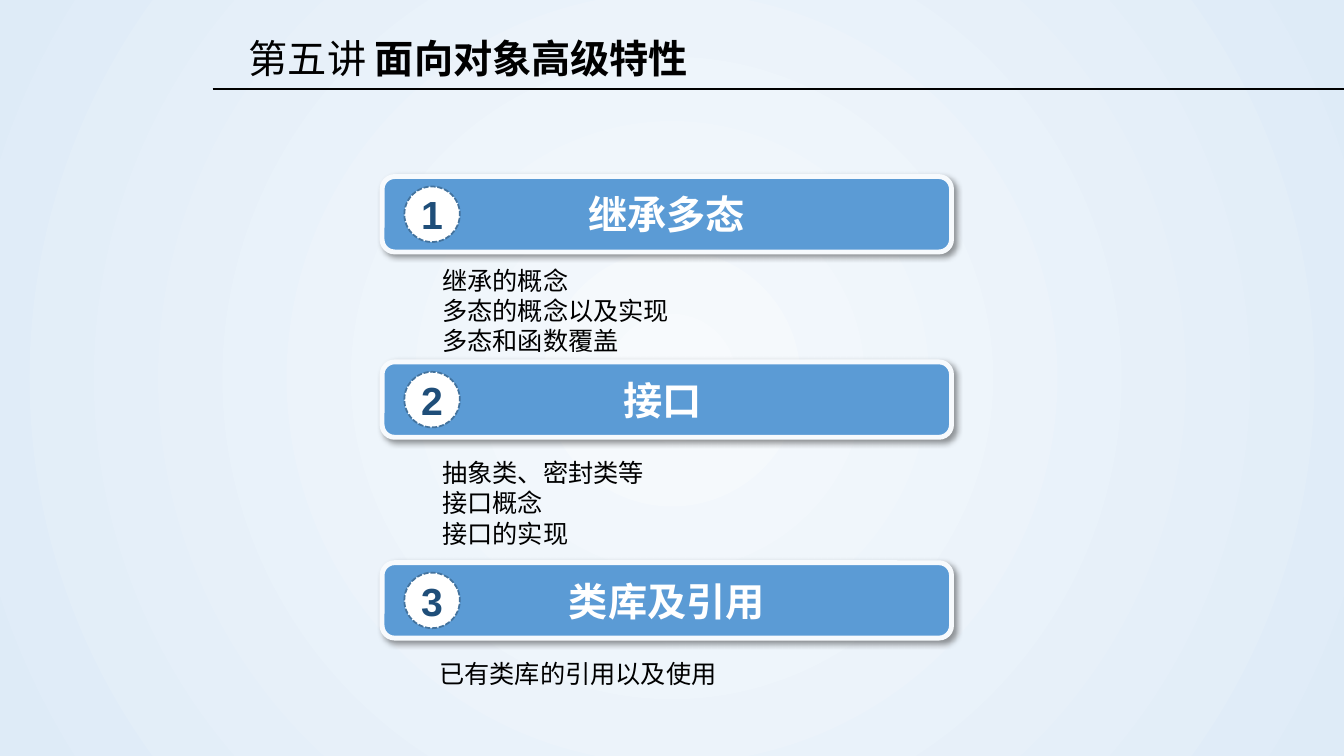
from lxml.etree import SubElement
from pptx import Presentation
from pptx.dml.color import RGBColor
from pptx.enum.dml import MSO_LINE
from pptx.enum.shapes import MSO_CONNECTOR, MSO_SHAPE
from pptx.enum.text import MSO_ANCHOR, MSO_AUTO_SIZE, PP_ALIGN
from pptx.oxml.ns import qn
from pptx.util import Cm, Pt

SLIDE_W, SLIDE_H = 33.87, 19.05
BAR_LEFT, BAR_W, BAR_H = 9.63, 14.35, 1.9
BADGE = 1.4

# heading, bar top, topics, topic box (left, top, width, height), topic level
CHAPTERS = [
    ("继承多态", 4.45, ["继承的概念", "多态的概念以及实现", "多态和函数覆盖"],
     (BAR_LEFT, 6.55, 15.04, 3.33), 1),
    ("接口 ", 9.12, ["抽象类、密封类等", "接口概念", "接口的实现"],
     (BAR_LEFT, 11.4, 17.02, 3.33), 1),
    ("类库及引用", 14.18, ["已有类库的引用以及使用"],
     (10.82, 16.46, 13.16, 1.02), 0),
]


def rgb(color):
    return RGBColor.from_string(color)


def add_run(p, text, size, color="000000", bold=False):
    r = p.add_run()
    r.text = text
    r.font.name = "Arial"
    r.font.size = Pt(size)
    r.font.bold = bold
    r.font.color.rgb = rgb(color)


def add_text_box(s, box):
    tf = s.shapes.add_textbox(*map(Cm, box)).text_frame
    tf.word_wrap = True
    tf.auto_size = MSO_AUTO_SIZE.SHAPE_TO_FIT_TEXT
    return tf


def add_label_shape(shapes, kind, box, fill, line, width, text, color):
    """Add a filled, outlined shape with a centred bold label."""
    sp = shapes.add_shape(kind, *map(Cm, box))
    sp.shadow.inherit = False
    sp.fill.solid()
    sp.fill.fore_color.rgb = rgb(fill)
    sp.line.color.rgb = rgb(line)
    sp.line.width = Pt(width)
    tf = sp.text_frame
    tf.margin_left = tf.margin_right = tf.margin_top = tf.margin_bottom = 0
    tf.vertical_anchor = MSO_ANCHOR.MIDDLE
    p = tf.paragraphs[0]
    p.alignment = PP_ALIGN.CENTER
    add_run(p, text, 28, color, True)
    return sp


def add_drop_shadow(sp):
    effects = sp._element.spPr.find(qn("a:effectLst"))
    shadow = SubElement(effects, qn("a:outerShdw"), blurRad=str(Pt(4)),
                        dist=str(Pt(3)), dir=str(45 * 60000),
                        algn="tl", rotWithShape="0")
    color = SubElement(shadow, qn("a:srgbClr"), val="000000")
    SubElement(color, qn("a:alpha"), val="40000")


def set_radial_background(s, inner, outer):
    fill = s.background.fill
    fill.gradient()
    for stop, color in zip(fill.gradient_stops, (inner, outer)):
        stop.color.rgb = rgb(color)
    grad = s._element.find(".//" + qn("a:gradFill"))
    grad.remove(grad.find(qn("a:lin")))
    radial = SubElement(grad, qn("a:path"), path="circle")
    SubElement(radial, qn("a:fillToRect"),
               l="50000", t="50000", r="50000", b="50000")


def add_title(s, left, top, width, height):
    """Add the lecture title and the rule that runs to the slide's edge."""
    rule_y = Cm(top + 1.5)
    rule = s.shapes.add_connector(MSO_CONNECTOR.STRAIGHT, Cm(left - 0.66),
                                  rule_y, Cm(SLIDE_W), rule_y)
    rule.line.color.rgb = rgb("000000")
    rule.line.width = Pt(1.25)
    SubElement(rule._element.spPr, qn("a:effectLst"))
    p = add_text_box(s, (left, top, width, height)).paragraphs[0]
    add_run(p, "第五讲 ", 28)
    add_run(p, "面向对象高级特性", 28, bold=True)


def add_heading_bar(s, left, top, width, height, number, heading):
    shapes = s.shapes.add_group_shape().shapes
    bar = add_label_shape(shapes, MSO_SHAPE.ROUNDED_RECTANGLE,
                          (left, top, width, height),
                          "5B9BD5", "F7FAFD", 3.5, heading, "FFFFFF")
    add_drop_shadow(bar)
    badge_box = (left + 0.56, top + (height - BADGE) / 2, BADGE, BADGE)
    badge = add_label_shape(shapes, MSO_SHAPE.OVAL, badge_box,
                            "FFFFFF", "43739E", 1.25, str(number), "1F4E79")
    badge.line.dash_style = MSO_LINE.SQUARE_DOT


def add_topics(s, box, topics, level):
    tf = add_text_box(s, box)
    for i, topic in enumerate(topics):
        p = tf.add_paragraph() if i else tf.paragraphs[0]
        p.level = level
        add_run(p, topic, 18)


def main():
    prs = Presentation()
    prs.slide_width, prs.slide_height = Cm(SLIDE_W), Cm(SLIDE_H)
    s = prs.slides.add_slide(prs.slide_layouts[6])
    set_radial_background(s, "F7FAFD", "DEEBF7")
    add_title(s, 6.02, 0.74, 13.69, 1.32)
    for number, (heading, top, topics, box, level) in enumerate(CHAPTERS, 1):
        add_heading_bar(s, BAR_LEFT, top, BAR_W, BAR_H, number, heading)
        add_topics(s, box, topics, level)
    prs.save("out.pptx")


if __name__ == "__main__":
    main()
